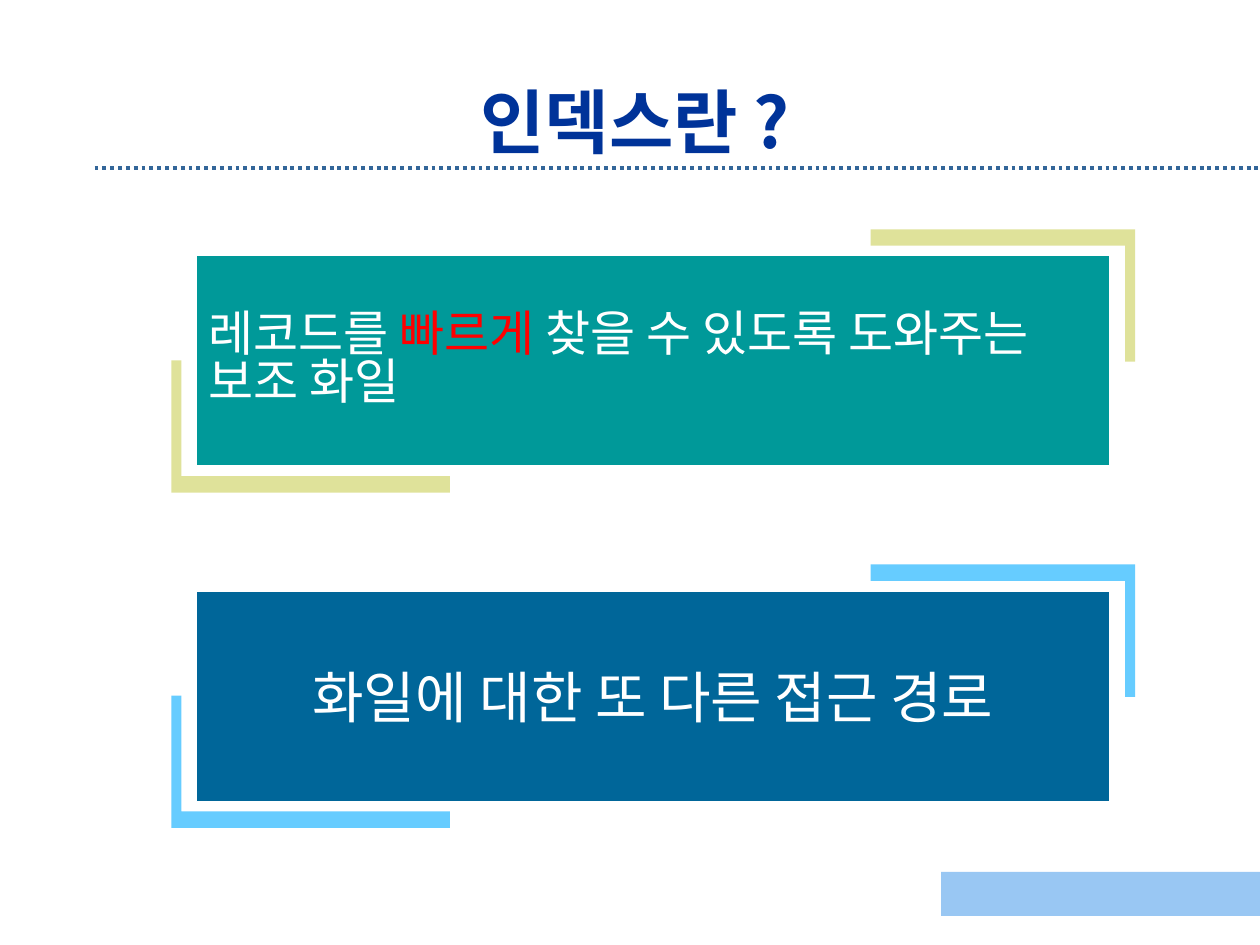
from lxml.etree import SubElement
from pptx import Presentation
from pptx.dml.color import RGBColor
from pptx.enum.dml import MSO_LINE
from pptx.enum.shapes import MSO_CONNECTOR, MSO_SHAPE
from pptx.enum.text import MSO_ANCHOR, PP_ALIGN
from pptx.oxml.ns import qn
from pptx.util import Inches, Pt

THEME = {
    "font": "Noto Sans CJK KR",
    "title": {"size": 40, "color": "003399", "bold": True},
    "definition": {"size": 28, "color": "FFFFFF", "bold": False},
    "highlight": {"size": 28, "color": "FF0000", "bold": False},
    "statement": {"size": 32, "color": "FFFFFF", "bold": False},
    "white": "FFFFFF",
    "rule": "336699",
    "footer": "99C7F3",
}
TITLE = [("인덱스란 ?", "title")]
PANELS = [
    {
        "top": 2.03, "fill": "009999", "bracket": "DFE29A",
        "align": PP_ALIGN.LEFT, "spacing": 0.82,
        "spans": [
            ("레코드를 ", "definition"),
            ("빠르게", "highlight"),
            (" 찾을 수 있도록 도와주는 보조 화일", "definition"),
        ],
    },
    {
        "top": 4.69, "fill": "006699", "bracket": "66CCFF",
        "align": PP_ALIGN.CENTER, "spacing": 1.0,
        "spans": [("화일에 대한 또 다른 접근 경로", "statement")],
    },
]
PANEL_LEFT, PANEL_WIDTH, PANEL_HEIGHT = 1.56, 7.25, 1.67
GAP_X, GAP_Y = 0.2, 0.21
ARM_HEIGHT, THICK_X, THICK_Y = 1.05, 0.08, 0.13
LOWER_ARM, UPPER_ARM = 2.21, 2.1


def color(name):
    return RGBColor.from_string(name)


def write(shape, spans, align, spacing=1.0):
    frame = shape.text_frame
    frame.word_wrap = True
    frame.vertical_anchor = MSO_ANCHOR.MIDDLE
    para = frame.paragraphs[0]
    for key, value in {"alignment": align, "line_spacing": spacing, "space_before": Pt(0)}.items():
        setattr(para, key, value)
    for text, role in spans:
        style = THEME[role]
        span = para.add_run()
        span.text = text
        formats = {"size": Pt(style["size"]), "bold": style["bold"], "name": THEME["font"]}
        for key, value in formats.items():
            setattr(span.font, key, value)
        span.font.color.rgb = color(style["color"])
        SubElement(span.font._element, qn("a:ea"), typeface=THEME["font"])


def paint(shape, fill, line=None):
    shape.shadow.inherit = False
    shape.fill.solid()
    shape.fill.fore_color.rgb = color(fill)
    if line:
        shape.line.color.rgb = color(line)
        shape.line.width = Pt(0.75)
    else:
        shape.line.fill.background()


def add_box(page, left, top, width, height, fill, line=None):
    box = page.shapes.add_shape(
        MSO_SHAPE.RECTANGLE, Inches(left), Inches(top), Inches(width), Inches(height))
    paint(box, fill, line)
    return box


def add_bracket(page, x, y, arm, direction, fill):
    steps = [(0, 0), (arm, 0), (arm, THICK_Y), (THICK_X, THICK_Y),
             (THICK_X, ARM_HEIGHT), (0, ARM_HEIGHT)]
    points = [(Inches(x + direction * across), Inches(y - direction * up)) for across, up in steps]
    builder = page.shapes.build_freeform(*points[0])
    builder.add_line_segments(points[1:], close=True)
    paint(builder.convert_to_shape(), fill)


def add_panel(page, panel):
    top, fill = panel["top"], panel["bracket"]
    add_bracket(page, PANEL_LEFT - GAP_X, top + PANEL_HEIGHT + GAP_Y, LOWER_ARM, 1, fill)
    add_bracket(page, PANEL_LEFT + PANEL_WIDTH + GAP_X, top - GAP_Y, UPPER_ARM, -1, fill)
    box = add_box(page, PANEL_LEFT, top, PANEL_WIDTH, PANEL_HEIGHT, panel["fill"], THEME["white"])
    write(box, panel["spans"], panel["align"], panel["spacing"])


def add_rule(page):
    rule = page.shapes.add_connector(
        MSO_CONNECTOR.STRAIGHT, Inches(0.75), Inches(1.33), Inches(10), Inches(1.33))
    rule.line.color.rgb = color(THEME["rule"])
    rule.line.width = Pt(2.25)
    rule.line.dash_style = MSO_LINE.ROUND_DOT
    SubElement(rule._element.spPr, qn("a:effectLst"))


def main():
    deck = Presentation()
    deck.slide_width, deck.slide_height = Inches(10), Inches(7.5)
    page = deck.slides.add_slide(deck.slide_layouts[5])
    title = page.shapes.title
    place = {"left": 0.75, "top": 0.67, "width": 8.58, "height": 0.58}
    for key, value in place.items():
        setattr(title, key, Inches(value))
    write(title, TITLE, PP_ALIGN.CENTER)
    add_rule(page)
    add_box(page, 7.47, 6.92, 2.53, 0.35, THEME["footer"])
    for panel in PANELS:
        add_panel(page, panel)
    deck.save("out.pptx")


if __name__ == "__main__":
    main()
